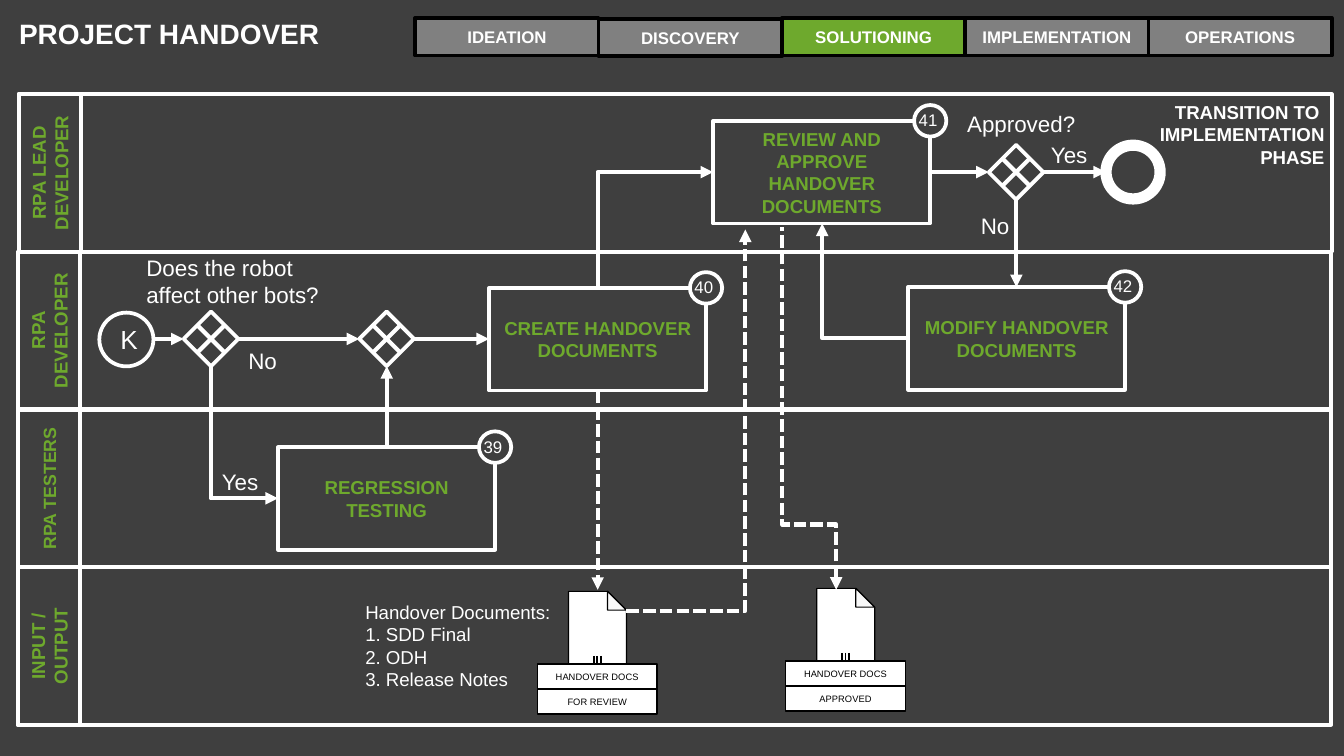
from lxml import etree
from pptx import Presentation
from pptx import util as u
from pptx.dml.color import RGBColor
from pptx.enum import dml, shapes, text
from pptx.oxml.ns import qn

WHITE = RGBColor(0xFF, 0xFF, 0xFF)
BLACK = RGBColor(0x00, 0x00, 0x00)
DARK = RGBColor(0x3F, 0x3F, 0x3F)
GREY = RGBColor(0x80, 0x80, 0x80)
GREEN = RGBColor(0x6E, 0xA9, 0x2D)
FOLD = RGBColor(0xF8, 0xF8, 0xF8)
RECT = shapes.MSO_SHAPE.RECTANGLE
OVAL = shapes.MSO_SHAPE.OVAL
LEFT, CENTER, RIGHT = text.PP_ALIGN.LEFT, text.PP_ALIGN.CENTER, text.PP_ALIGN.RIGHT

deck = Presentation()
deck.slide_width, deck.slide_height = u.Pt(720), u.Pt(405)
slide = deck.slides.add_slide(deck.slide_layouts[5])
slide.background.fill.solid()
slide.background.fill.fore_color.rgb = DARK


def put(words, x, y, w, h, kind=None, size=10, bold=False, color=WHITE, align=CENTER,
        fill=None, line=WHITE, weight=2, turn=0):
    """Add a preset shape with text, or a non-wrapping text box when kind is None."""
    box = [u.Pt(v) for v in (x, y, w, h)]
    if kind is None:
        item = slide.shapes.add_textbox(*box)
        item.text_frame.auto_size = text.MSO_AUTO_SIZE.SHAPE_TO_FIT_TEXT
    else:
        item = slide.shapes.add_shape(kind, *box)
        item.shadow.inherit = False
        item.rotation = turn
        item.line.color.rgb = line
        item.line.width = u.Pt(weight)
        if fill is None:
            item.fill.background()
        else:
            item.fill.solid()
            item.fill.fore_color.rgb = fill
        item.text_frame.vertical_anchor = text.MSO_ANCHOR.MIDDLE
    item.text_frame.word_wrap = kind is not None
    item.text_frame.text = words
    for paragraph in item.text_frame.paragraphs:
        paragraph.alignment = align
        for run in paragraph.runs:
            run.font.name, run.font.size, run.font.bold = "Arial", u.Pt(size), bold
            run.font.color.rgb = color


def flow(x1, y1, x2, y2, arrow="tailEnd", bend=None, dashed=False, color=WHITE, weight=2.25):
    """Add a line; bend names an elbow preset, arrow the end that carries the head."""
    style = shapes.MSO_CONNECTOR.ELBOW if bend else shapes.MSO_CONNECTOR.STRAIGHT
    link = slide.shapes.add_connector(style, *[u.Pt(v) for v in (x1, y1, x2, y2)])
    link.line.color.rgb = color
    link.line.width = u.Pt(weight)
    if dashed:
        link.line.dash_style = dml.MSO_LINE.SQUARE_DOT
    properties = link._element.spPr
    if bend:
        properties.find(qn("a:prstGeom")).set("prst", bend)
    if arrow:
        etree.SubElement(properties.find(qn("a:ln")), qn("a:" + arrow), type="triangle")
    etree.SubElement(properties, qn("a:effectLst"))
    return link


# Title
title = slide.shapes.title
title.left, title.top, title.width, title.height = [u.Pt(v) for v in (3, 1.4, 231, 45.4)]
heading = title.text_frame
heading.text = "PROJECT HANDOVER"
heading.auto_size = text.MSO_AUTO_SIZE.NONE
heading.vertical_anchor = text.MSO_ANCHOR.TOP
heading.margin_left = heading.margin_right = u.Pt(7.2)
heading.margin_top = heading.margin_bottom = u.Pt(7.2)
heading.paragraphs[0].alignment = LEFT
heading_font = heading.paragraphs[0].runs[0].font
heading_font.name, heading_font.size, heading_font.bold = "Arial", u.Pt(15), True
heading_font.color.rgb = WHITE

# Project phases
phases = ["IDEATION", "DISCOVERY", "SOLUTIONING", "IMPLEMENTATION", "OPERATIONS"]
for i, phase in enumerate(phases):
    put(phase, 222.5 + 98.2 * i, 10 if phase == "DISCOVERY" else 9.6, 98.2, 20.2, RECT,
        size=9, bold=True, fill=GREEN if phase == "SOLUTIONING" else GREY, line=BLACK)

# Swimlanes
lanes = [("RPA LEAD DEVELOPER", 10, 10), ("RPA DEVELOPER", 9.6, 10),
         ("RPA TESTERS", 9.6, 9.5), ("INPUT / OUTPUT", 9.6, 10)]
for i, (role, left, size) in enumerate(lanes):
    top = 50.5 + 84.5 * i
    put("", left, top, 703.5, 84.3, RECT)
    put(role, left - 25.5, top + 25.5, 84.3, 33.3, RECT, size=size, bold=True,
        color=GREEN, turn=270)

# Numbered tasks
tasks = [("REGRESSION TESTING", "39", 149, 239.6),
         ("CREATE HANDOVER DOCUMENTS", "40", 262, 154.3),
         ("REVIEW AND APPROVE HANDOVER DOCUMENTS", "41", 382.1, 64.8),
         ("MODIFY HANDOVER DOCUMENTS", "42", 486.5, 153.8)]
for task, number, x, y in tasks:
    put(task, x, y, 116.2, 55, RECT, bold=True, color=GREEN)
    put("", x + 107.6, y - 8.5, 17.3, 16.9, OVAL, fill=DARK)
    put(number, x + 103, y - 9.4, 24.5, 18, size=9, align=LEFT)

# Gateways with their crosses
for x, y in [(529.7, 77.6), (98.4, 166.9), (192.5, 166.9)]:
    put("", x, y, 29.3, 29.3, shapes.MSO_SHAPE.FLOWCHART_DECISION)
    flow(x + 7, y + 7, x + 22.3, y + 22.3, arrow=None)
    flow(x + 22.3, y + 7, x + 7, y + 22.3, arrow=None)

# Start and end events
put("K", 53.2, 167.5, 29, 28.8, OVAL, size=14)
put("", 592.5, 77.8, 29, 28.8, OVAL, weight=6)

# Document icons
for x, y, status in [(304.6, 316.8, "FOR REVIEW"), (437.6, 315.2, "APPROVED")]:
    page = [(20.9, 0), (0, 0), (0, 41.8), (31, 41.8), (31, 10.1)]
    corner = [(20.9, 10.1), (31, 10.1), (20.9, 0)]
    for outline, paper in [(page, WHITE), (corner, FOLD)]:
        points = [(u.Pt(x + dx), u.Pt(y + dy)) for dx, dy in outline]
        builder = slide.shapes.build_freeform(*points[0])
        builder.add_line_segments(points[1:], close=True)
        sheet = builder.convert_to_shape()
        sheet.shadow.inherit = False
        sheet.fill.solid()
        sheet.fill.fore_color.rgb = paper
        sheet.line.color.rgb = BLACK
        sheet.line.width = u.Pt(0.63)
    for row, words in enumerate(["HANDOVER DOCS", status]):
        put(words, x - 16.7, y + 39 + 13.4 * row, 64.2, 13.4, RECT, size=5, color=BLACK,
            fill=WHITE, line=BLACK, weight=0.75)
    for bar in range(3):
        flow(x + 13.6 + 1.8 * bar, y + 34.6, x + 13.6 + 1.8 * bar, y + 39, arrow=None,
             color=BLACK, weight=1)

# Straight flows
for ends in [(82.2, 181.6, 98.4, 181.6), (127.7, 181.6, 192.5, 181.6),
             (221.8, 181.6, 262, 181.6), (207.2, 239.6, 207.2, 196.2),
             (498.3, 92.2, 529.7, 92.2), (559, 92.2, 592.5, 92.2),
             (544.5, 106.9, 544.5, 153.8)]:
    flow(*ends)
flow(320.2, 209.3, 320.2, 316, dashed=True)

# Flows with one corner, each drawn from its horizontal leg
flow(382.1, 92.2, 320.2, 154.3, "headEnd", "bentConnector2")
flow(149, 267, 113, 196.2, "headEnd", "bentConnector2")
flow(486.5, 181.2, 440.5, 119.8, bend="bentConnector2")
flow(335.6, 327.2, 399.3, 123, bend="bentConnector2", dashed=True)

# Approved documents: an elbow turned to start and finish vertically
approved = flow(336.3, 233.3, 530.7, 204.3, "headEnd", "bentConnector3", dashed=True)
approved_shape = approved._element.spPr
approved_shape.find(qn("a:xfrm")).set("rot", "16200000")
adjustments = approved_shape.find(qn("a:prstGeom")).get_or_add_avLst()
etree.SubElement(adjustments, qn("a:gd"), name="adj1", fmla="val 18000")

# Notes on the flows
put("Approved?", 511, 55.4, 72.7, 21.6, size=12, align=LEFT)
put("TRANSITION TO \nIMPLEMENTATION\nPHASE", 611.5, 50.4, 105.1, 43.9, bold=True, align=RIGHT)
put("Does the robot\naffect other bots?", 71.3, 132.5, 111.6, 36, size=12, align=LEFT)
put("Handover Documents:\n1. SDD Final\n2. ODH\n3. Release Notes", 188.6, 318.2, 114.5, 55.4,
    align=LEFT)
for answer, x, y, w in [("No", 517.7, 110.2, 30.2), ("Yes", 554.4, 72, 35.3),
                        ("No", 125.3, 182.2, 30.2), ("Yes", 110.2, 247, 35.3)]:
    put(answer, x, y, w, 21.6, size=12, align=RIGHT)

deck.save("out.pptx")
